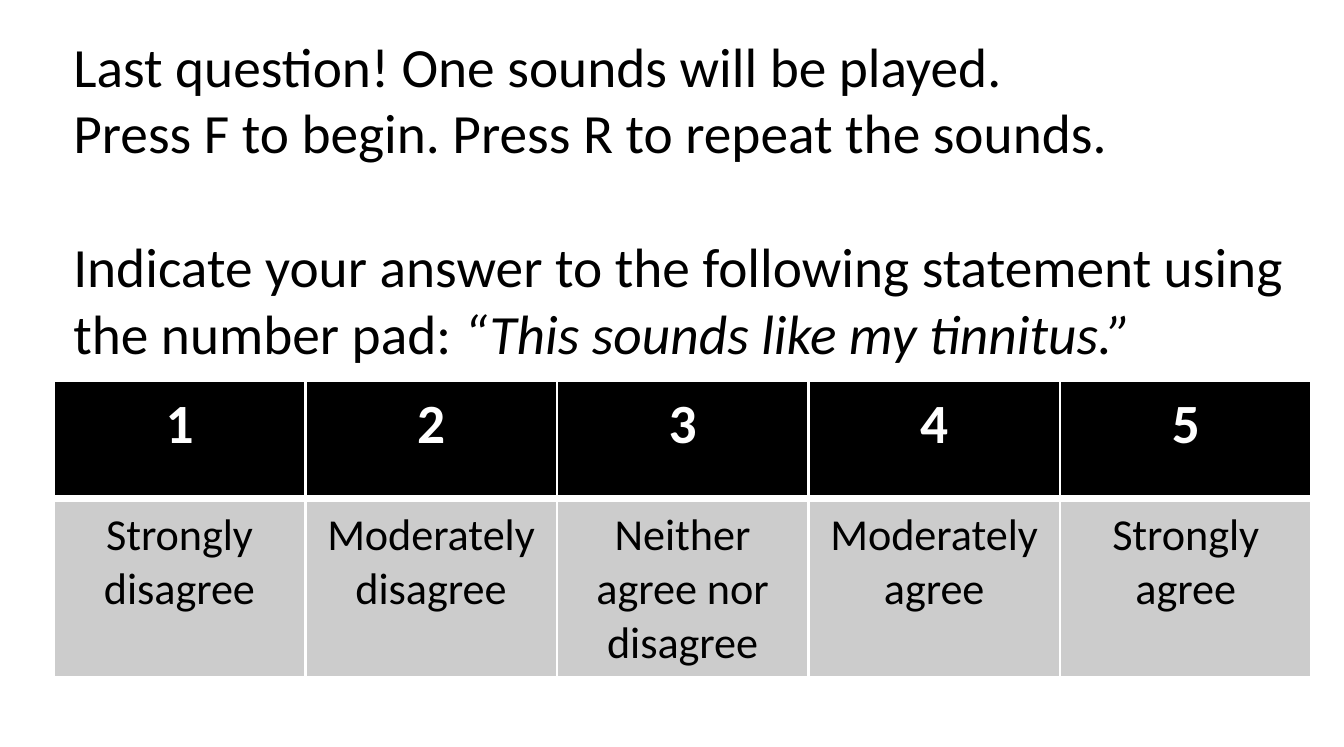
from lxml.etree import SubElement
from pptx import Presentation
from pptx.dml.color import RGBColor
from pptx.enum.text import MSO_ANCHOR as Anchor, PP_ALIGN as Align
from pptx.oxml.ns import qn
from pptx.util import Inches, Pt

WIDTH, HEIGHT = Inches(6.75), Inches(3.75)
LEFT, CONTENT_WIDTH = 0.04, 0.936
FONT = "Calibri"
BLACK, WHITE, GRAY = "000000", "FFFFFF", "CCCCCC"
LINE_GAP = 24.4

INSTRUCTIONS = [
    (0, [("Last question! One sounds will be played.", False)]),
    (0, [("Press F to begin. Press R to repeat the sounds.", False)]),
    (LINE_GAP, [
        ("Indicate your answer to the following statement using the number pad: ", False),
        ("“This sounds like my tinnitus.”", True),
    ]),
]
ANSWERS = [
    "Strongly disagree",
    "Moderately disagree",
    "Neither agree nor disagree",
    "Moderately agree",
    "Strongly agree",
]


def color(hex_string):
    return RGBColor.from_string(hex_string)


def across(share):
    return round(WIDTH * share)


def down(share):
    return round(HEIGHT * share)


def add_run(paragraph, text, size, hex_string, bold=False, italic=False):
    run = paragraph.add_run()
    run.text = text
    font = run.font
    font.name, font.size = FONT, Pt(size)
    font.bold, font.italic = bold, italic
    font.color.rgb = color(hex_string)


def add_instructions(slide):
    box = slide.shapes.add_textbox(
        across(LEFT), down(0.03), across(CONTENT_WIDTH), down(0.475))
    frame = box.text_frame
    frame.word_wrap = True
    for index, (gap, runs) in enumerate(INSTRUCTIONS):
        paragraph = frame.add_paragraph() if index else frame.paragraphs[0]
        paragraph.space_before = Pt(gap)
        for text, italic in runs:
            add_run(paragraph, text, 20, BLACK, italic=italic)


def set_borders(cell, widths):
    properties = cell._tc.get_or_add_tcPr()
    for side, width in zip("LRTB", widths):
        line = SubElement(properties, qn(f"a:ln{side}"), w=str(Pt(width)))
        fill = SubElement(line, qn("a:solidFill"))
        SubElement(fill, qn("a:srgbClr"), val=WHITE)


def format_cell(cell, text, size, text_color, fill_color, bold, borders):
    set_borders(cell, borders)
    cell.fill.solid()
    cell.fill.fore_color.rgb = color(fill_color)
    cell.vertical_anchor = Anchor.TOP
    paragraph = cell.text_frame.paragraphs[0]
    paragraph.alignment = Align.CENTER
    add_run(paragraph, text, size, text_color, bold=bold)


def add_scale(slide):
    row_shares = [0.157, 0.24]
    frame = slide.shapes.add_table(
        2, len(ANSWERS), across(LEFT), down(0.51),
        across(CONTENT_WIDTH), down(sum(row_shares)))
    table = frame.table
    for row, share in zip(table.rows, row_shares):
        row.height = down(share)
    for index, answer in enumerate(ANSWERS):
        format_cell(table.cell(0, index), str(index + 1), 20, WHITE, BLACK,
                    True, (1, 1, 1, 3))
        format_cell(table.cell(1, index), answer, 16, BLACK, GRAY,
                    False, (1, 1, 3, 1))


def main():
    presentation = Presentation()
    presentation.slide_width, presentation.slide_height = WIDTH, HEIGHT
    slide = presentation.slides.add_slide(presentation.slide_layouts[6])
    add_instructions(slide)
    add_scale(slide)
    presentation.save("out.pptx")


if __name__ == "__main__":
    main()
